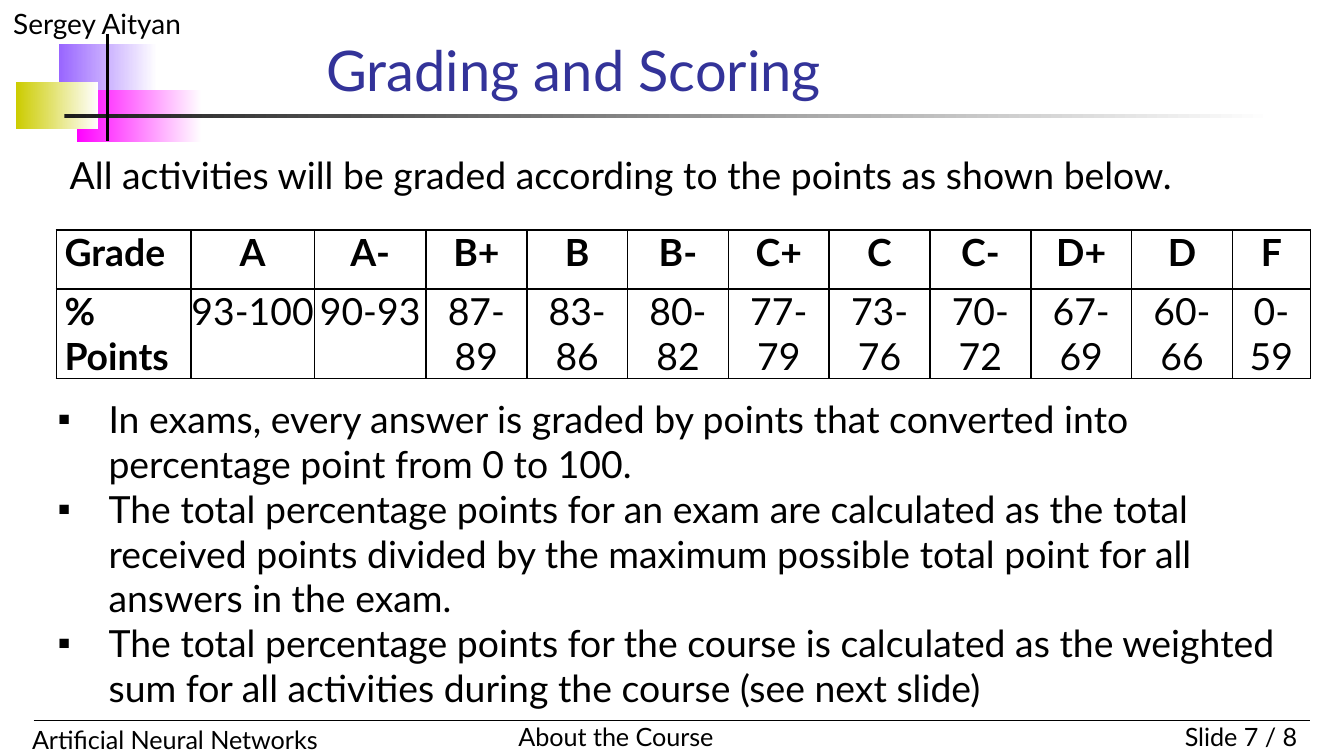
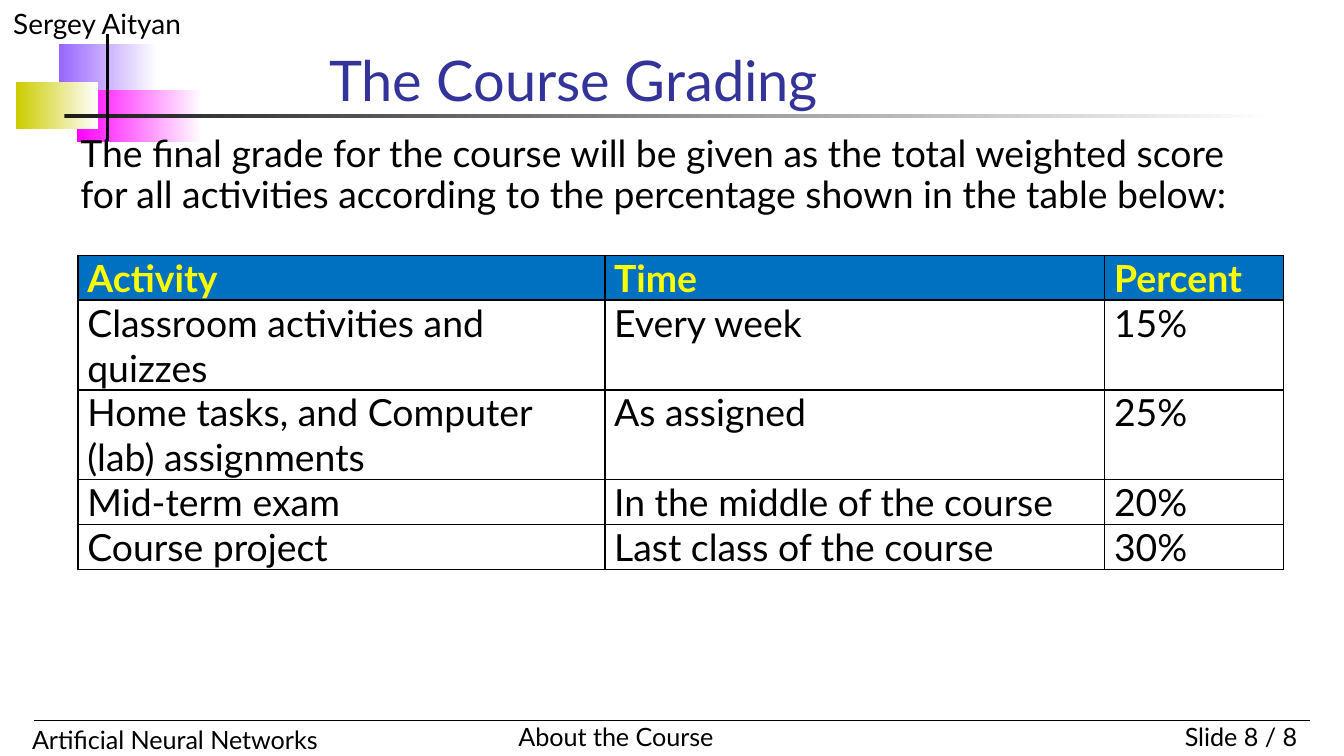
from lxml import etree
from pptx import Presentation
from pptx.dml.color import RGBColor
from pptx.enum import shapes, text
from pptx.oxml import ns
from pptx.util import Inches, Pt

FONT = "Lato"
BULLET_FONT = "Arial"
COLORS = {
    "black": "000000", "white": "FFFFFF", "title": "333399",
    "violet": "9966FF", "magenta": "FF00FF", "olive": "CCCC00", "rule": "1C1C1C",
    "header": "0070C0", "header_text": "FFFF00",
}
TOTAL_SLIDES = 8

# Shared decoration: fading bands, then (start, end, width) lines
BANDS = [
    ("violet", (0.44, 0.33, 0.73, 0.39)),
    ("magenta", (0.57, 0.67, 0.93, 0.39)),
    ("olive", (0.12, 0.61, 0.61, 0.35)),
    ("rule", (0.48, 0.85, 9, 0.03)),
]
LINES = [((0.25, 5.36), (9.75, 5.36), 0.75), ((0.8, 0.25), (0.8, 1.05), 2)]

GRADES = [
    ("Grade", "% Points"), ("A", "93-100"), ("A-", "90-93"), ("B+", "87-89"),
    ("B", "83-86"), ("B-", "80-82"), ("C+", "77-79"), ("C", "73-76"),
    ("C-", "70-72"), ("D+", "67-69"), ("D", "60-66"), ("F", "0-59"),
]
ACTIVITIES = [
    ("Activity", "Time", "Percent"),
    ("Classroom activities and quizzes", "Every week", "15%"),
    ("Home tasks, and Computer (lab) assignments", "As assigned", "25%"),
    ("Mid-term exam", "In the middle of the course", "20%"),
    ("Course project", "Last class of the course", "30%"),
]
SCORING_RULES = [
    "In exams, every answer is graded by points that converted into percentage point "
    "from 0 to 100.",
    "The total percentage points for an exam are calculated as the total received points "
    "divided by the maximum possible total point for all answers in the exam.",
    "The total percentage points for the course is calculated as the weighted sum for all "
    "activities during the course (see next slide)",
]
GRADING = {
    "number": 7,
    "title": ("Grading and Scoring", (2.33, 0.19, 5.62, 0.62)),
    "intro": ("All activities will be graded according to the points as shown below.",
              (0.42, 1.12, 8.58, 0.28)),
}
COURSE = {
    "number": 8,
    "title": ("The Course Grading", (2.35, 0.33, 5.62, 0.56)),
    "intro": ("The final grade for the course will be given as the total weighted score for "
              "all activities according to the percentage shown in the table below:",
              (0.5, 0.96, 8.97, 0.31)),
}


def rgb(name):
    return RGBColor.from_string(COLORS[name])


def box(at):
    return [Inches(v) for v in at]


def write(p, content, size=20, color="black", bold=False):
    r = p.add_run()
    r.text = content
    for key, value in {"name": FONT, "size": Pt(size), "bold": bold}.items():
        setattr(r.font, key, value)
    r.font.color.rgb = rgb(color)


def add_text(s, paragraphs, at, size=20, color="black", wrap=True, grow=False,
             anchor=text.MSO_ANCHOR.TOP, align=text.PP_ALIGN.LEFT, spacing=None):
    tf = s.shapes.add_textbox(*box(at)).text_frame
    tf.word_wrap = wrap
    tf.auto_size = (text.MSO_AUTO_SIZE.SHAPE_TO_FIT_TEXT if grow
                    else text.MSO_AUTO_SIZE.NONE)
    tf.vertical_anchor = anchor
    for i, content in enumerate(paragraphs):
        p = tf.add_paragraph() if i else tf.paragraphs[0]
        p.alignment = align
        p.line_spacing = spacing
        write(p, content, size, color)
    return tf


def add_bullets(tf, indent=0.38):
    for p in tf.paragraphs:
        pPr = p._p.get_or_add_pPr()
        pPr.set("marL", str(Inches(indent)))
        pPr.set("indent", str(-Inches(indent)))
        etree.SubElement(pPr, ns.qn("a:buFont")).set("typeface", BULLET_FONT)
        etree.SubElement(pPr, ns.qn("a:buChar")).set("char", "▪")


def add_band(s, color, at):
    band = s.shapes.add_shape(shapes.MSO_SHAPE.RECTANGLE, *box(at))
    band.shadow.inherit = False
    band.line.fill.background()
    band.fill.gradient()
    band.fill.gradient_angle = 0
    for stop, name, position in zip(band.fill.gradient_stops, (color, "white"), (0, 1)):
        stop.color.rgb = rgb(name)
        stop.position = position


def add_line(s, start, end, width):
    line = s.shapes.add_connector(shapes.MSO_CONNECTOR.STRAIGHT, *box(start + end))
    line.line.color.rgb = rgb("black")
    line.line.width = Pt(width)
    etree.SubElement(line._element.spPr, ns.qn("a:effectLst"))


def add_borders(cell, width=1):
    tcPr = cell._tc.get_or_add_tcPr()
    for i, side in enumerate("LRTB"):
        ln = etree.Element(ns.qn(f"a:ln{side}"), w=str(Pt(width)))
        fill = etree.SubElement(ln, ns.qn("a:solidFill"))
        etree.SubElement(fill, ns.qn("a:srgbClr")).set("val", COLORS["black"])
        tcPr.insert(i, ln)


def add_table(s, rows, left, top, widths, heights, style):
    """Draw a bordered table; style(row, column) gives the look of each cell."""
    frame = s.shapes.add_table(len(rows), len(widths),
                               *box((left, top, sum(widths), sum(heights))))
    table = frame.table
    table.first_row = table.horz_banding = False
    for column, width in zip(table.columns, widths):
        column.width = Inches(width)
    for row, height in zip(table.rows, heights):
        row.height = Inches(height)
    for i, row in enumerate(rows):
        for j, content in enumerate(row):
            cell, look = table.cell(i, j), style(i, j)
            inset = Inches(look["inset"])
            margins = {"margin_left": inset, "margin_right": inset,
                       "margin_top": 0, "margin_bottom": 0}
            for key, value in margins.items():
                setattr(cell, key, value)
            if look.get("fill"):
                cell.fill.solid()
                cell.fill.fore_color.rgb = rgb(look["fill"])
            else:
                cell.fill.background()
            add_borders(cell)
            p = cell.text_frame.paragraphs[0]
            p.alignment = look.get("align", text.PP_ALIGN.LEFT)
            write(p, content, color=look.get("color", "black"), bold=look["bold"])


def grade_style(i, j):
    # The narrow columns break each range after its hyphen
    range_inset = 0.01 if j > 2 else 0
    return {
        "inset": range_inset if i and j else 0.06,
        "bold": not (i and j),
        "align": text.PP_ALIGN.CENTER if j else text.PP_ALIGN.LEFT,
    }


def activity_style(i, j):
    header = {"fill": "header", "color": "header_text"} if i == 0 else {}
    return {"inset": 0.07, "bold": i == 0, **header}


def add_slide(prs, content):
    """Add a slide with the shared decoration, header, footer, title and intro."""
    s = prs.slides.add_slide(prs.slide_layouts[6])
    for color, at in BANDS:
        add_band(s, color, at)
    footer = {"size": 13.5, "grow": True}
    add_text(s, ["Sergey Aityan"], (0, 0, 2.5, 0.35), size=15, grow=True)
    add_text(s, [f"Slide {content['number']} / {TOTAL_SLIDES}"], (8.25, 5.32, 1.5, 0.33),
             align=text.PP_ALIGN.RIGHT, **footer)
    add_text(s, ["Artificial Neural Networks"], (0.14, 5.34, 3.7, 0.33), **footer)
    add_text(s, ["About the Course"], (3.76, 5.32, 1.66, 0.33), wrap=False, **footer)
    for start, end, width in LINES:
        add_line(s, start, end, width)
    title, at = content["title"]
    add_text(s, [title], at, size=30, color="title", anchor=text.MSO_ANCHOR.BOTTOM)
    intro, at = content["intro"]
    add_text(s, [intro], at, spacing=0.9)
    return s


def main():
    prs = Presentation()
    prs.slide_width = Inches(10)
    prs.slide_height = prs.slide_width * 9 // 16

    s = add_slide(prs, GRADING)
    add_table(s, list(zip(*GRADES)), 0.42, 1.71, [1, 0.92, 0.83] + [0.75] * 8 + [0.58],
              [0.44, 0.44], grade_style)
    add_bullets(add_text(s, SCORING_RULES, (0.33, 2.9, 9.33, 2.46), grow=True))

    s = add_slide(prs, COURSE)
    add_table(s, ACTIVITIES, 0.58, 1.9, [3.92, 3.72, 1.33],
              [0.25, 0.5, 0.5, 0.25, 0.25], activity_style)

    prs.save("out.pptx")


if __name__ == "__main__":
    main()
